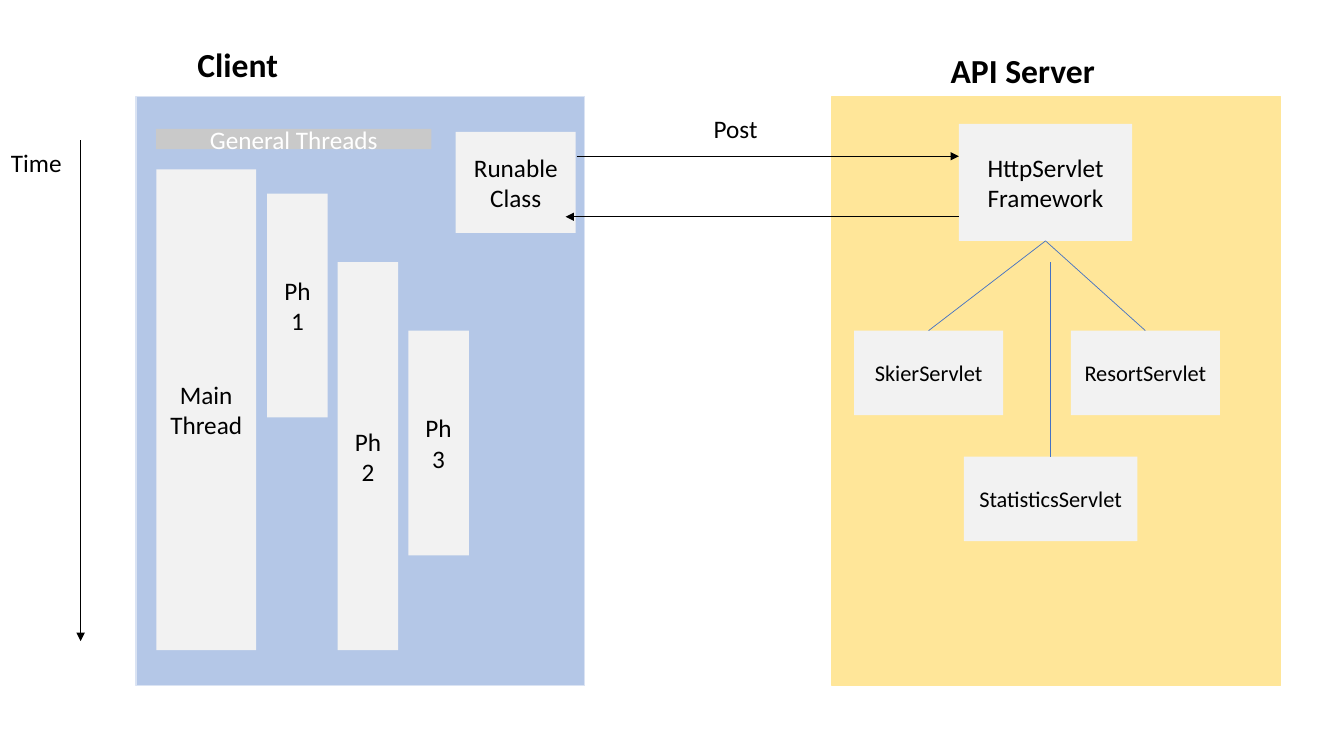
from lxml import etree
from pptx import Presentation
from pptx.dml.color import RGBColor
from pptx.enum.shapes import MSO_CONNECTOR, MSO_SHAPE
from pptx.enum.text import MSO_ANCHOR, MSO_AUTO_SIZE, PP_ALIGN
from pptx.oxml.ns import qn
from pptx.util import Inches, Pt

RECT = MSO_SHAPE.RECTANGLE
LINE = MSO_CONNECTOR.STRAIGHT
MID, TOP = MSO_ANCHOR.MIDDLE, MSO_ANCHOR.TOP
CENTER, LEFT = PP_ALIGN.CENTER, PP_ALIGN.LEFT
GROW = MSO_AUTO_SIZE.SHAPE_TO_FIT_TEXT
BLACK, WHITE, PALE, BLUE = "000000", "FFFFFF", "F2F2F2", "4472C4"

deck = Presentation()
deck.slide_width, deck.slide_height = Inches(13.33), Inches(7.5)
slide = deck.slides.add_slide(deck.slide_layouts[6])
CELL = deck.slide_height / 75


def grid(*cells):
    return [round(c * CELL) for c in cells]


def color(code):
    return RGBColor.from_string(code)


def place(box, x, y, w, h):
    return grid(box[0] + x, box[1] + y, w, h)


def write(shape, text, size, ink, align, anchor, bold=False):
    frame = shape.text_frame
    frame.text = text
    frame.vertical_anchor = anchor
    para = frame.paragraphs[0]
    para.alignment = align
    font = para.runs[0].font
    font.name, font.size, font.bold = "Calibri", Pt(size), bold
    font.color.rgb = color(ink)


def block(box, part, fill, text="", size=18, ink=BLACK, edge=None):
    shape = slide.shapes.add_shape(RECT, *place(box, *part))
    shape.shadow.inherit = False
    shape.fill.solid()
    shape.fill.fore_color.rgb = color(fill)
    if edge:
        shape.line.color.rgb = color(edge)
        shape.line.width = Pt(1)
    else:
        shape.line.fill.background()
    if text:
        shape.text_frame.word_wrap = True
        write(shape, text, size, ink, CENTER, MID)


def label(box, part, text, size=18, bold=False, wrap=False):
    shape = slide.shapes.add_textbox(*place(box, *part))
    shape.text_frame.word_wrap = wrap
    write(shape, text, size, BLACK, LEFT, TOP, bold)
    shape.text_frame.auto_size = GROW


def link(box, start, end, ink=BLACK, arrow=True):
    ends = [box[i % 2] + c for i, c in enumerate(start + end)]
    line = slide.shapes.add_connector(LINE, *grid(*ends))
    line.line.color.rgb = color(ink)
    line.line.width = Pt(0.5)
    if arrow:
        etree.SubElement(line.line._get_or_add_ln(), qn("a:tailEnd"), type="triangle")
    etree.SubElement(line._element.spPr, qn("a:effectLst"))


def panel(box, fill, edge, title, part):
    block(box, (0, 0, *box[2:]), fill, edge=edge)
    label(box, part, title, 24, True, True)


def client(box):
    panel(box, "B4C7E7", "DAE3F3", "Client", (5.1, -5.7, 14.8, 5))
    block(box, (31.7, 3.5, 11.9, 10), PALE, "Runable Class")
    block(box, (2, 7.2, 9.9, 47.7), PALE, "Main Thread")
    for i, tall in enumerate((22.2, 38.5, 22.3)):
        block(box, (13 + 7 * i, 9.6 + 6.8 * i, 6, tall), PALE, f"Ph {i + 1}")
    block(box, (2, 3.2, 27.3, 2), "C9C9C9", "General Threads", ink=WHITE)


def server(box):
    panel(box, "FFE699", "FFE699", "API Server", (10.8, -5.1, 20.8, 5))
    block(box, (12.6, 2.7, 17.2, 11.6), PALE, "HttpServlet Framework")
    hub = (21.2, 14.3)
    for name, x, y, w, end in (
        ("SkierServlet", 2.2, 23.2, 14.8, hub),
        ("StatisticsServlet", 13.1, 35.7, 17.2, (21.7, 16.4)),
        ("ResortServlet", 23.7, 23.2, 14.8, hub),
    ):
        block(box, (x, y, w, 8.4), PALE, name, 16)
        link(box, (x + w / 2, y), end, BLUE, False)


def calls(box):
    label(box, (12.6, 0, 6.4, 4), "Post")
    link(box, (0, 4.7), (box[2], 4.7))
    link(box, (box[2], 10.7), (-1.1, 10.7))


def clock(box):
    link(box, (box[2], 0), (box[2], box[3]))
    label(box, (0, 0.2, 7.1, 4), "Time")


client((13.5, 9.6, 44.5, 58.4))
server((82.5, 9.6, 44.5, 58.4))
calls((57.2, 10.8, 37.9, 10.7))
clock((0.1, 13.9, 7.9, 49.7))
deck.save("out.pptx")
